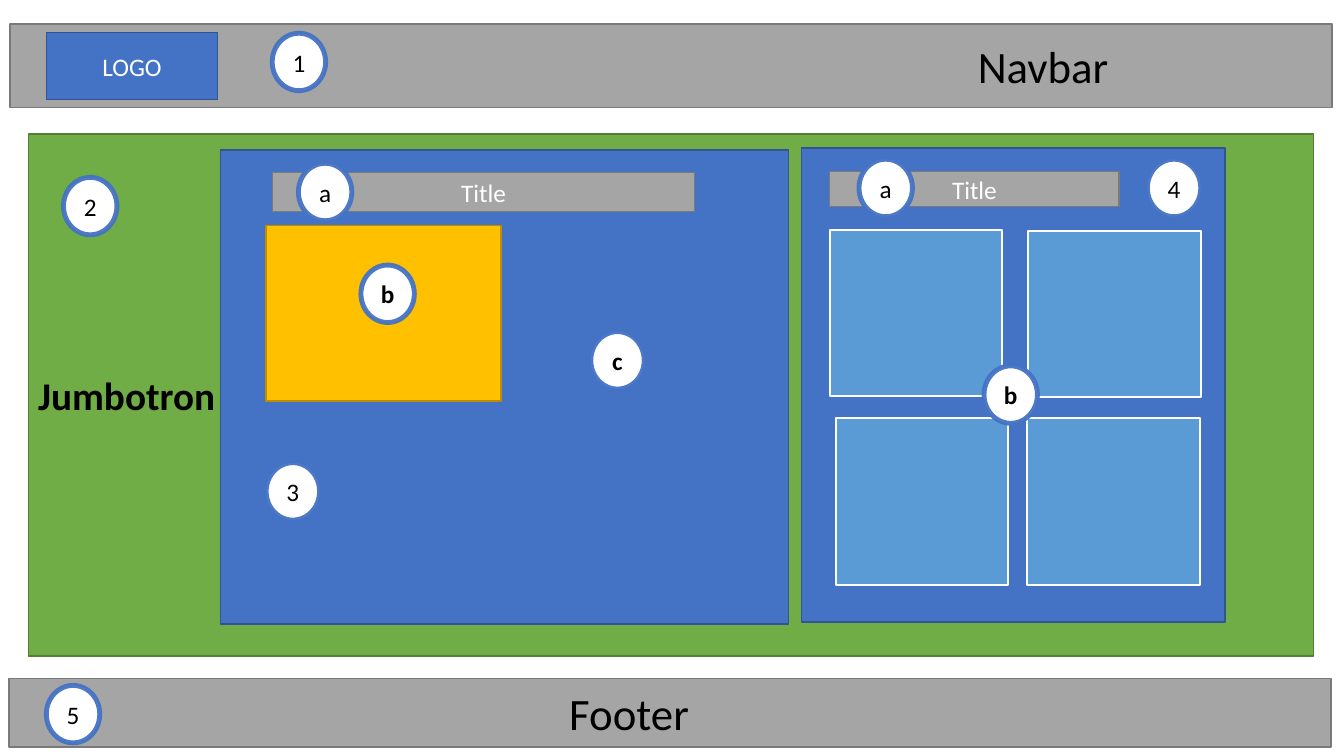
"""Build a web page wireframe slide with numbered callouts."""
from dataclasses import dataclass

from lxml.etree import SubElement
from pptx import Presentation
from pptx.dml.color import RGBColor
from pptx.enum.shapes import MSO_SHAPE
from pptx.enum.text import MSO_ANCHOR, PP_ALIGN
from pptx.oxml.ns import qn
from pptx.util import Inches, Pt


@dataclass(frozen=True)
class Theme:
    font: str = "Calibri"
    white: str = "FFFFFF"
    black: str = "000000"
    gray: tuple = ("A5A5A5", "7A7A7A", 1)
    blue: tuple = ("4472C4", "325491", 1)
    green: tuple = ("70AD47", "538035", 1)
    gold: tuple = ("FFC000", "BD8E00", 1)
    tile: tuple = ("5B9BD5", "FFFFFF", 1.5)
    marker: tuple = ("FFFFFF", "4472C4", 3.5)
    bar_size: int = 32
    jumbotron_size: int = 28
    label_size: int = 18


theme = Theme()


def add_block(box, style, kind=MSO_SHAPE.RECTANGLE):
    fill, line, width = style
    shape = slide.shapes.add_shape(kind, *map(Inches, box))
    shape.shadow.inherit = False
    shape.fill.solid()
    shape.fill.fore_color.rgb = RGBColor.from_string(fill)
    shape.line.color.rgb = RGBColor.from_string(line)
    shape.line.width = Pt(width)
    return shape


def write_label(shape, text, size, color, bold=False, align=PP_ALIGN.CENTER):
    frame = shape.text_frame
    frame.word_wrap = True
    frame.vertical_anchor = MSO_ANCHOR.MIDDLE
    paragraph = frame.paragraphs[0]
    paragraph.alignment = align
    run = paragraph.add_run()
    run.text = text
    font_format = {"name": theme.font, "size": Pt(size), "bold": bold}
    for name, value in font_format.items():
        setattr(run.font, name, value)
    run.font.color.rgb = RGBColor.from_string(color)


presentation = Presentation()
presentation.slide_width = Inches(13.33)
presentation.slide_height = Inches(7.5)
slide = presentation.slides.add_slide(presentation.slide_layouts[6])

navbar = add_block((0.1, 0.24, 13.11, 0.83), theme.gray)
navbar.text_frame.margin_left = Inches(7.48)
write_label(navbar, "Navbar", theme.bar_size, theme.black)

footer = add_block((0.09, 6.73, 13.11, 0.68), theme.gray)
footer.text_frame.margin_right = Inches(0.91)
write_label(footer, "Footer", theme.bar_size, theme.black)

logo = add_block((0.46, 0.32, 1.7, 0.67), theme.blue)
write_label(logo, "LOGO", theme.label_size, theme.white)

jumbotron = add_block((0.28, 1.33, 12.75, 5.18), theme.green)
write_label(jumbotron, "Jumbotron", theme.jumbotron_size, theme.black, True, PP_ALIGN.LEFT)

panels = [
    ((2.19, 1.49, 5.63, 4.7), theme.blue),
    ((7.95, 1.47, 4.2, 4.7), theme.blue),
    ((2.64, 2.24, 2.33, 1.74), theme.gold),
]
for box, style in panels:
    add_block(box, style)

for left, top in [(8.23, 2.28), (10.2, 2.29), (8.29, 4.15), (10.19, 4.15)]:
    add_block((left, top, 1.71, 1.65), theme.tile)

for box in [(2.7, 1.71, 4.19, 0.39), (8.23, 1.7, 2.87, 0.35)]:
    title = add_block(box, theme.gray)
    write_label(title, "Title", theme.label_size, theme.white)

markers = [
    ("1", 2.7, 0.33, False),
    ("2", 0.63, 1.76, False),
    ("3", 2.64, 4.59, False),
    ("4", 11.38, 1.58, False),
    ("5", 0.46, 6.8, False),
    ("a", 2.96, 1.62, False),
    ("b", 3.58, 2.63, True),
    ("c", 5.86, 3.29, True),
    ("a", 8.52, 1.58, False),
    ("b", 9.76, 3.63, True),
]
for text, left, top, bold in markers:
    marker = add_block((left, top, 0.53, 0.57), theme.marker, MSO_SHAPE.FLOWCHART_CONNECTOR)
    line_color = marker.element.spPr.find(qn("a:ln")).find(".//" + qn("a:srgbClr"))
    SubElement(line_color, qn("a:alpha"), val="95000")
    write_label(marker, text, theme.label_size, theme.black, bold)

presentation.save("out.pptx")
